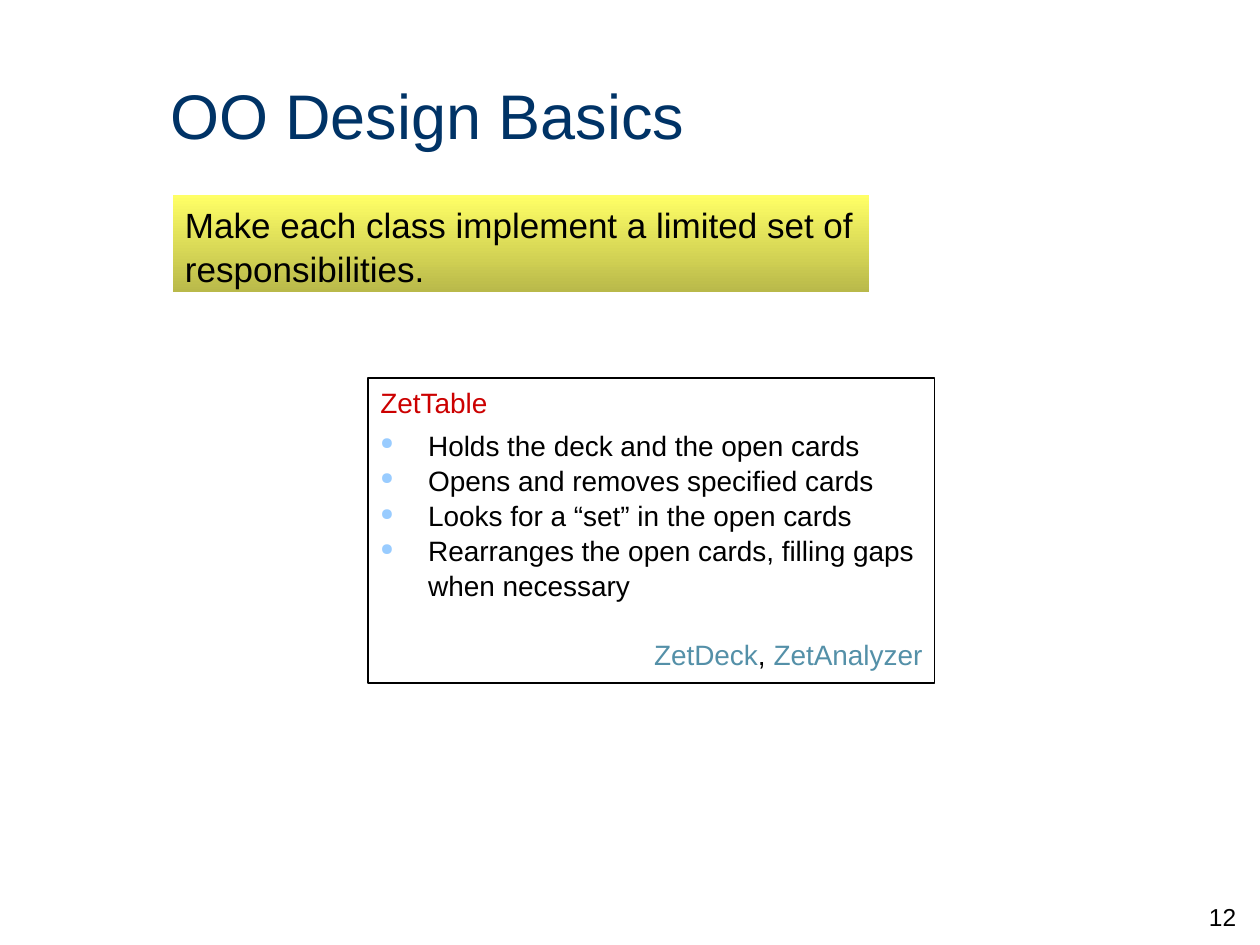
from lxml.etree import SubElement
from pptx import Presentation
from pptx.dml.color import RGBColor
from pptx.enum.shapes import MSO_SHAPE as Shape
from pptx.enum.text import MSO_ANCHOR as Anchor, PP_ALIGN as Align
from pptx.oxml.ns import qn
from pptx.util import Inches, Pt

NAVY = RGBColor(0x00, 0x33, 0x66)
BLACK = RGBColor(0x00, 0x00, 0x00)
RED = RGBColor(0xCC, 0x00, 0x00)
TEAL = RGBColor(0x54, 0x90, 0xA8)
BULLET_BLUE = RGBColor(0x99, 0xCC, 0xFF)
YELLOW = RGBColor(0xFF, 0xFF, 0x66)
OLIVE = RGBColor(0xB9, 0xB9, 0x4A)

TITLE = "OO Design Basics"
PRINCIPLE = "Make each class implement a limited set of responsibilities."
CLASS_NAME = "ZetTable"
RESPONSIBILITIES = [
    "Holds the deck and the open cards",
    "Opens and removes specified cards",
    "Looks for a “set” in the open cards",
    "Rearranges the open cards, filling gaps when necessary",
]
COLLABORATORS = [("ZetDeck", TEAL), (", ", BLACK), ("ZetAnalyzer", TEAL)]
PAGE_NUMBER = "12"
LINE_SPACING = 1.05


def write(para, spans, size, align=Align.LEFT, before=0):
    layout = {"alignment": align, "space_before": Pt(before),
              "space_after": Pt(0), "line_spacing": LINE_SPACING}
    for name, value in layout.items():
        setattr(para, name, value)
    for text, color in spans:
        span = para.add_run()
        span.text = text
        for name, value in {"name": "Arial", "size": Pt(size), "bold": False}.items():
            setattr(span.font, name, value)
        span.font.color.rgb = color


def add_bullet(para):
    props = para._p.get_or_add_pPr()
    props.set("marL", str(Inches(0.38)))
    props.set("indent", str(-Inches(0.38)))
    color = SubElement(props, qn("a:buClr"))
    SubElement(color, qn("a:srgbClr"), val=str(BULLET_BLUE))
    SubElement(props, qn("a:buSzPct"), val="60000")
    SubElement(props, qn("a:buChar"), char="●")


def add_box(page, left, top, width, height):
    box = page.shapes.add_shape(Shape.RECTANGLE, Inches(left), Inches(top),
                                Inches(width), Inches(height))
    box.shadow.inherit = False
    box.text_frame.word_wrap = True
    box.text_frame.vertical_anchor = Anchor.TOP
    return box


deck = Presentation()
deck.slide_width, deck.slide_height = Inches(10), Inches(7.5)
page = deck.slides.add_slide(deck.slide_layouts[5])

title = page.shapes.title
title.left, title.top = Inches(1.25), Inches(0.47)
title.width, title.height = Inches(8.5), Inches(0.84)
title.text_frame.vertical_anchor = Anchor.MIDDLE
write(title.text_frame.paragraphs[0], [(TITLE, NAVY)], 36)

number = page.shapes.add_textbox(Inches(7.83), Inches(7.1), Inches(2.08), Inches(0.5))
number.text_frame.word_wrap = True
write(number.text_frame.paragraphs[0], [(PAGE_NUMBER, BLACK)], 14, Align.RIGHT)

card = add_box(page, 2.92, 3, 4.5, 2.42)
card.fill.background()
card.line.color.rgb = BLACK
card.line.width = Pt(0.75)
frame = card.text_frame
write(frame.paragraphs[0], [(CLASS_NAME, RED)], 16)
for index, duty in enumerate(RESPONSIBILITIES):
    para = frame.add_paragraph()
    write(para, [(duty, BLACK)], 16, before=0 if index else 4)
    add_bullet(para)
write(frame.add_paragraph(), COLLABORATORS, 16, Align.RIGHT, before=19)

banner = add_box(page, 1.37, 1.55, 5.53, 0.77)
banner.line.fill.background()
banner.fill.gradient()
banner.fill.gradient_angle = 270
for stop, color, position in zip(banner.fill.gradient_stops, (YELLOW, OLIVE), (0, 1)):
    stop.color.rgb = color
    stop.position = position
write(banner.text_frame.paragraphs[0], [(PRINCIPLE, BLACK)], 20)

deck.save("out.pptx")
